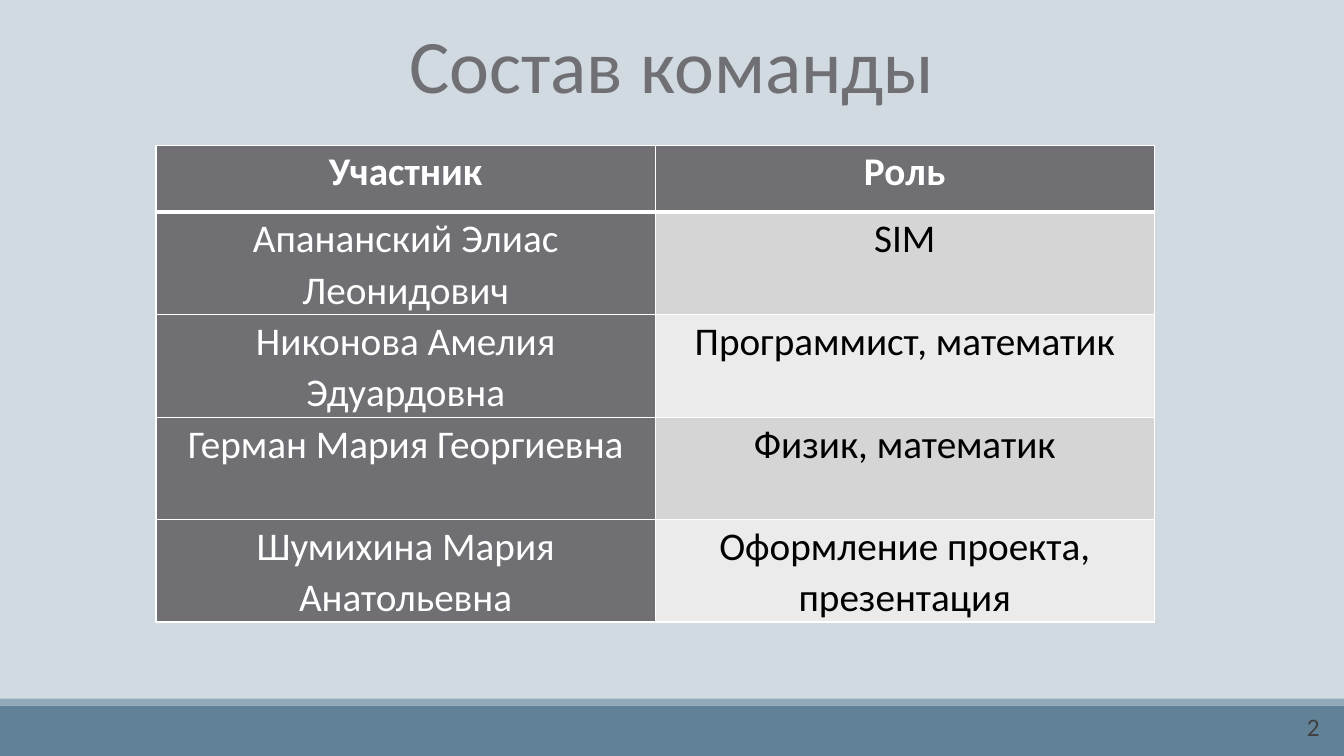
import pptx
import pptx.dml.color
import pptx.enum.shapes
import pptx.enum.text
import pptx.oxml
import pptx.oxml.ns
import pptx.util

Pt = pptx.util.Pt
SLIDE_WIDTH, SLIDE_HEIGHT = 960, 540
TEAM = [
    ("Участник", "Роль"),
    ("Апананский Элиас Леонидович", "SIM"),
    ("Никонова Амелия Эдуардовна", "Программист, математик"),
    ("Герман Мария Георгиевна", "Физик, математик"),
    ("Шумихина Мария Анатольевна", "Оформление проекта, презентация"),
]


def color(value):
    return pptx.dml.color.RGBColor.from_string(value)


def fill(target, value):
    target.fill.solid()
    target.fill.fore_color.rgb = color(value)


def write(frame, text, *, size, text_color, bold=False, centered=False,
          line_spacing=None, space_after=None, wrap=True):
    frame.word_wrap = wrap
    frame.vertical_anchor = pptx.enum.text.MSO_ANCHOR.TOP
    paragraph = frame.paragraphs[0]
    alignment = pptx.enum.text.PP_ALIGN
    paragraph.alignment = alignment.CENTER if centered else alignment.LEFT
    if line_spacing is not None:
        paragraph.line_spacing = line_spacing
    if space_after is not None:
        paragraph.space_after = Pt(space_after)
    run = paragraph.add_run()
    run.text = text
    run.font.name = SlideBuilder.font
    run.font.size = Pt(size)
    run.font.bold = bold
    run.font.color.rgb = color(text_color)


def set_borders(cell, value, bottom_width):
    """Draw all four cell edges, with the bottom one in its own width."""
    properties = cell._tc.get_or_add_tcPr()
    widths = {"lnL": 1, "lnR": 1, "lnT": 1, "lnB": bottom_width}
    for position, (edge, width) in enumerate(widths.items()):
        line = pptx.oxml.parse_xml(
            f'<a:{edge} {pptx.oxml.ns.nsdecls("a")} w="{Pt(width)}">'
            f'<a:solidFill><a:srgbClr val="{value}"/></a:solidFill></a:{edge}>')
        properties.insert(position, line)


class SlideBuilder:
    font = "Calibri"
    gray = "6F6F74"
    white = "FFFFFF"
    black = "000000"
    bands = ("D5D5D6", "EBEBEB")

    def __init__(self, presentation):
        self.slide = presentation.slides.add_slide(presentation.slide_layouts[5])
        fill(self.slide.background, "D1D9E1")

    def bar(self, top, height, value):
        shape = self.slide.shapes.add_shape(
            pptx.enum.shapes.MSO_SHAPE.RECTANGLE,
            0, Pt(top), Pt(SLIDE_WIDTH), Pt(height))
        shape.shadow.inherit = False
        shape.line.fill.background()
        fill(shape, value)

    def title(self, text, left, top, width, height):
        shape = self.slide.shapes.title
        shape.left, shape.top = Pt(left), Pt(top)
        shape.width, shape.height = Pt(width), Pt(height)
        write(shape.text_frame, text, size=54, text_color=self.gray,
              centered=True, wrap=False)

    def label(self, text, left, top, width, height):
        shape = self.slide.shapes.add_textbox(
            Pt(left), Pt(top), Pt(width), Pt(height))
        write(shape.text_frame, text, size=18, text_color="404040")

    def table(self, rows, left, top, column_width, row_heights):
        columns = len(rows[0])
        table = self.slide.shapes.add_table(
            len(rows), columns, Pt(left), Pt(top),
            Pt(column_width * columns), Pt(sum(row_heights))).table
        for column in table.columns:
            column.width = Pt(column_width)
        for row_index, (row, height) in enumerate(zip(rows, row_heights)):
            table.rows[row_index].height = Pt(height)
            header = row_index == 0
            for column_index, text in enumerate(row):
                dark = header or column_index == 0
                cell = table.cell(row_index, column_index)
                cell.margin_left = cell.margin_right = Pt(5)
                cell.margin_top = cell.margin_bottom = 0
                fill(cell, self.gray if dark else self.bands[(row_index - 1) % 2])
                set_borders(cell, self.white, 3 if header else 1)
                write(cell.text_frame, text, size=28, bold=header,
                      text_color=self.white if dark else self.black,
                      centered=True, line_spacing=1.07, space_after=8)


def main():
    presentation = pptx.Presentation()
    presentation.slide_width = Pt(SLIDE_WIDTH)
    presentation.slide_height = Pt(SLIDE_HEIGHT)
    builder = SlideBuilder(presentation)
    builder.bar(504, 36, "618197")
    builder.bar(499, 5, "92A9B9")
    builder.title("Состав команды", 283.5, 9.5, 393, 72.5)
    builder.table(TEAM, 111.5, 103.7, 356.5, (48, 70, 73, 73, 70))
    builder.label("2", 926.5, 504.5, 44.5, 29)
    presentation.save("out.pptx")


if __name__ == "__main__":
    main()
